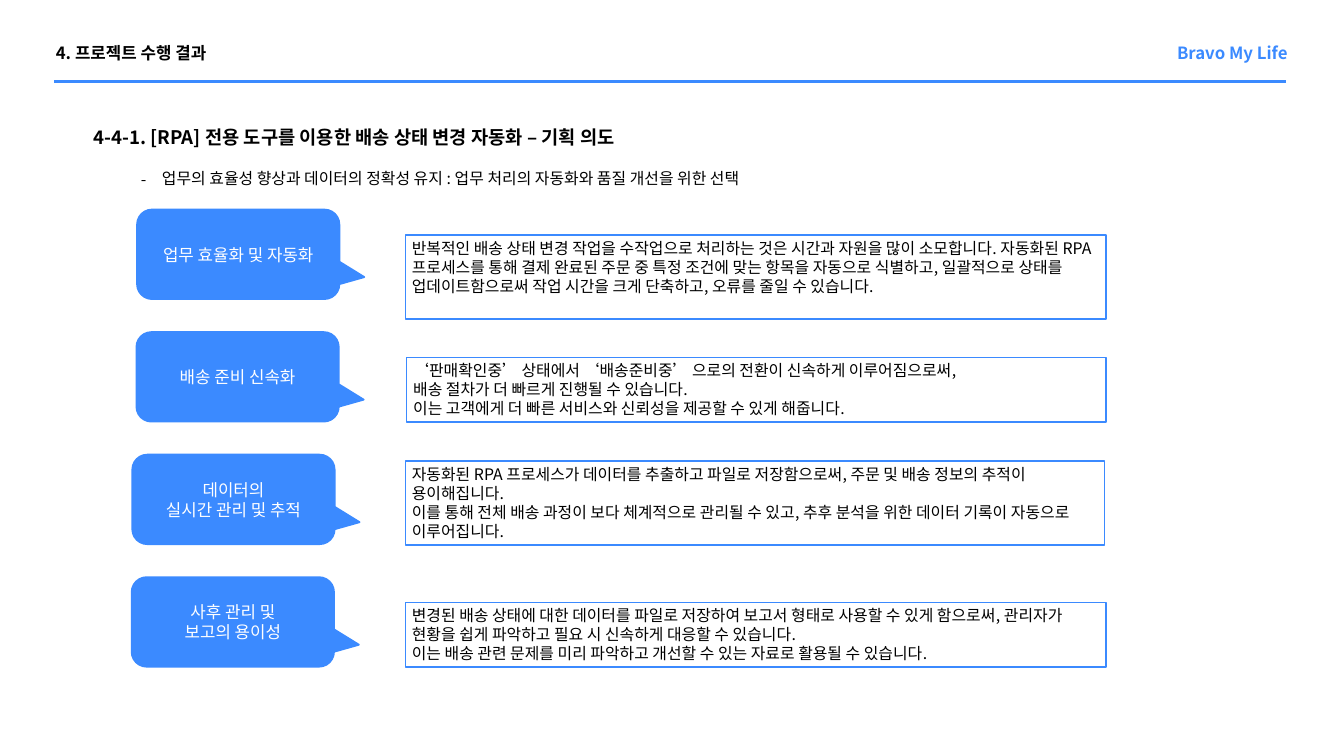
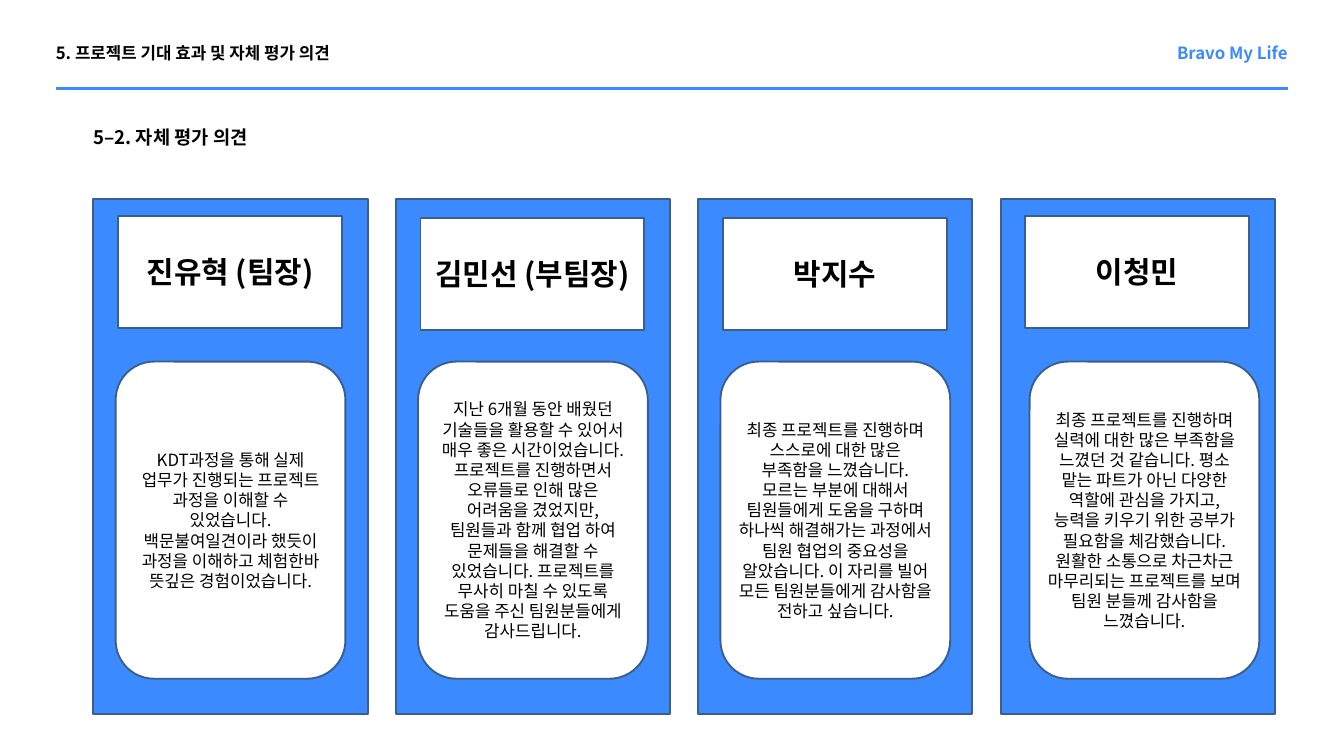
import pptx
import pptx.util
import pptx.dml.color
import pptx.enum.shapes
import pptx.enum.text
from lxml import etree

Pt = pptx.util.Pt
SHAPE = pptx.enum.shapes.MSO_SHAPE
ALIGN = pptx.enum.text.PP_ALIGN
ANCHOR = pptx.enum.text.MSO_ANCHOR
A = "{http://schemas.openxmlformats.org/drawingml/2006/main}"

# Content
PROJECT = "Bravo My Life"

PLAN = {
    "chapter": "4. 프로젝트 수행 결과",
    "heading": "4-4-1. [RPA] 전용 도구를 이용한 배송 상태 변경 자동화 – 기획 의도",
    "summary": "업무의 효율성 향상과 데이터의 정확성 유지 : 업무 처리의 자동화와 품질 개선을 위한 선택",
}
# Reason, its left edge, explanation, and the explanation's left, top, width, height
REASONS = [
    (["업무 효율화 및 자동화"], 146.9,
     ["반복적인 배송 상태 변경 작업을 수작업으로 처리하는 것은 시간과 자원을 많이 소모합니다. "
      "자동화된 RPA 프로세스를 통해 결제 완료된 주문 중 특정 조건에 맞는 항목을 자동으로 식별하고, "
      "일괄적으로 상태를 업데이트함으로써 작업 시간을 크게 단축하고, 오류를 줄일 수 있습니다."],
     (434.2, 252, 751, 90)),
    (["배송 준비 신속화"], 146.2,
     ["‘판매확인중’ 상태에서 ‘배송준비중’ 으로의 전환이 신속하게 이루어짐으로써,",
      "배송 절차가 더 빠르게 진행될 수 있습니다.",
      "이는 고객에게 더 빠른 서비스와 신뢰성을 제공할 수 있게 해줍니다."],
     (435.6, 383, 749.5, 69.1)),
    (["데이터의", "실시간 관리 및 추적"], 141.8,
     ["자동화된 RPA 프로세스가 데이터를 추출하고 파일로 저장함으로써, "
      "주문 및 배송 정보의 추적이 용이해집니다.",
      "이를 통해 전체 배송 과정이 보다 체계적으로 관리될 수 있고, "
      "추후 분석을 위한 데이터 기록이 자동으로 이루어집니다."],
     (434.2, 493.9, 749.5, 90)),
    (["사후 관리 및", "보고의 용이성"], 141.1,
     ["변경된 배송 상태에 대한 데이터를 파일로 저장하여 보고서 형태로 사용할 수 있게 함으로써, "
      "관리자가 현황을 쉽게 파악하고 필요 시 신속하게 대응할 수 있습니다.",
      "이는 배송 관련 문제를 미리 파악하고 개선할 수 있는 자료로 활용될 수 있습니다."],
     (434.2, 645.8, 751, 69.1)),
]

REVIEW = {
    "chapter": "5. 프로젝트 기대 효과 및 자체 평가 의견",
    "heading": "5–2. 자체 평가 의견",
}
# Member, top of the name plate, left inset of the opinion, opinion
MEMBERS = [
    ("진유혁 (팀장)", 231.1, 23.8,
     "KDT과정을 통해 실제 업무가 진행되는 프로젝트 과정을 이해할 수 있었습니다. "
     "백문불여일견이라 했듯이 과정을 이해하고 체험한바 뜻깊은 경험이었습니다."),
    ("김민선 (부팀장)", 233.3, 23.8,
     "지난 6개월 동안 배웠던 기술들을 활용할 수 있어서 매우 좋은 시간이었습니다. "
     "프로젝트를 진행하면서 오류들로 인해 많은 어려움을 겼었지만, "
     "팀원들과 함께 협업 하여 문제들을 해결할 수 있었습니다. "
     "프로젝트를 무사히 마칠 수 있도록 도움을 주신 팀원분들에게 감사드립니다."),
    ("박지수", 233.3, 23.8,
     "최종 프로젝트를 진행하며 스스로에 대한 많은 부족함을 느꼈습니다. "
     "모르는 부분에 대해서 팀원들에게 도움을 구하며 하나씩 해결해가는 과정에서 "
     "팀원 협업의 중요성을 알았습니다. "
     "이 자리를 빌어 모든 팀원분들에게 감사함을 전하고 싶습니다."),
    ("이청민", 231.1, 31,
     "최종 프로젝트를 진행하며 실력에 대한 많은 부족함을 느꼈던 것 같습니다. "
     "평소 맡는 파트가 아닌 다양한 역할에 관심을 가지고, "
     "능력을 키우기 위한 공부가 필요함을 체감했습니다. "
     "원활한 소통으로 차근차근 마무리되는 프로젝트를 보며 팀원 분들께 감사함을 느꼈습니다."),
]

# Shared style
COLORS = {"accent": "3B8AFF", "edge": "3A5F8C", "ink": "000000", "paper": "FFFFFF"}
FONT = "Noto Sans CJK KR"
REASON_TOP, REASON_PITCH = 224.6, 131.3
CARD_LEFT, CARD_PITCH = 100.1, 324


def rgb(name):
    return pptx.dml.color.RGBColor.from_string(COLORS[name])


def write(holder, paragraphs, size=18, color="ink", bold=False, align=ALIGN.LEFT,
          anchor=ANCHOR.TOP, leading=1.2, inset=None, bullet=None):
    """Fill a shape or text box with formatted paragraphs."""
    frame = holder.text_frame
    frame.word_wrap = True
    frame.vertical_anchor = anchor
    if inset is not None:
        frame.margin_left = frame.margin_right = Pt(inset)
        frame.margin_top = frame.margin_bottom = Pt(inset)
    for i, text in enumerate(paragraphs):
        paragraph = frame.add_paragraph() if i else frame.paragraphs[0]
        paragraph.alignment = align
        paragraph.line_spacing = Pt(round(size * leading, 1))
        if bullet:
            properties = paragraph._p.get_or_add_pPr()
            properties.set("marL", str(Pt(22.5)))
            properties.set("indent", str(-Pt(22.5)))
            etree.SubElement(properties, A + "buFont", typeface=FONT)
            etree.SubElement(properties, A + "buChar", char=bullet)
        run = paragraph.add_run()
        run.text = text
        run.font.size = Pt(size)
        run.font.bold = bold
        run.font.color.rgb = rgb(color)
        run.font.name = FONT
        etree.SubElement(run._r.get_or_add_rPr(), A + "ea", typeface=FONT)


def add_text(slide, box, paragraphs, **style):
    write(slide.shapes.add_textbox(*map(Pt, box)), paragraphs, **style)


def add_panel(slide, kind, box, fill=None, line="edge", weight=2):
    panel = slide.shapes.add_shape(kind, *map(Pt, box))
    panel.shadow.inherit = False
    if fill:
        panel.fill.solid()
        panel.fill.fore_color.rgb = rgb(fill)
    else:
        panel.fill.background()
    panel.line.color.rgb = rgb(line)
    panel.line.width = Pt(weight)
    return panel


def start_slide(deck, content, rule_left, rule_top):
    """Add a slide with its chapter, project name, rule and heading."""
    slide = deck.slides.add_slide(deck.slide_layouts[6])
    rule = slide.shapes.add_connector(
        pptx.enum.shapes.MSO_CONNECTOR.STRAIGHT,
        Pt(rule_left), Pt(rule_top), Pt(rule_left + 1320), Pt(rule_top))
    rule.line.color.rgb = rgb("accent")
    rule.line.width = Pt(3)
    etree.SubElement(rule._element.spPr, A + "effectLst")
    title = {"bold": True, "leading": 1.4, "inset": 0}
    add_text(slide, (59.8, 42.5, 420, 25.2), [content["chapter"]], align=ALIGN.JUSTIFY, **title)
    add_text(slide, (1211, 42.5, 168.5, 23), [PROJECT], color="accent", align=ALIGN.RIGHT, **title)
    add_text(slide, (100.1, 130.3, 608, 28), [content["heading"]], size=20, **title)
    return slide


def build_plan(deck):
    slide = start_slide(deck, PLAN, 58.3, 87.1)
    add_text(slide, (144, 177.1, 1041.8, 49.7), [PLAN["summary"]], size=17, bullet="-")
    for i, (reason, left, explanation, box) in enumerate(REASONS):
        callout = add_panel(slide, SHAPE.ROUNDED_RECTANGULAR_CALLOUT,
                            (left, REASON_TOP + i * REASON_PITCH, 216.7, 95.8),
                            fill="accent", line="accent")
        for k, value in enumerate((0.623, 0.255, 0.167)):
            callout.adjustments[k] = value
        write(callout, reason, color="paper", align=ALIGN.CENTER, anchor=ANCHOR.MIDDLE)
        write(add_panel(slide, SHAPE.RECTANGLE, box, line="accent", weight=1.5),
              explanation, size=17)


def build_review(deck):
    slide = start_slide(deck, REVIEW, 59.8, 95)
    centred = {"align": ALIGN.CENTER, "anchor": ANCHOR.MIDDLE}
    for i, (member, plate_top, inset, opinion) in enumerate(MEMBERS):
        left = CARD_LEFT + i * CARD_PITCH
        add_panel(slide, SHAPE.RECTANGLE, (left, 213.1, 293.8, 552.2), fill="accent")
        plate = add_panel(slide, SHAPE.RECTANGLE, (left + 26.5, plate_top, 239.8, 120.2),
                          fill="paper")
        write(plate, [member], size=32, bold=True, **centred)
        bubble = add_panel(slide, SHAPE.ROUNDED_RECTANGLE, (left + inset, 387.4, 246.2, 339.8),
                           fill="paper")
        write(bubble, [opinion], **centred)


def main():
    deck = pptx.Presentation()
    deck.slide_width, deck.slide_height = Pt(1440), Pt(810)
    build_plan(deck)
    build_review(deck)
    deck.save("out.pptx")


if __name__ == "__main__":
    main()
